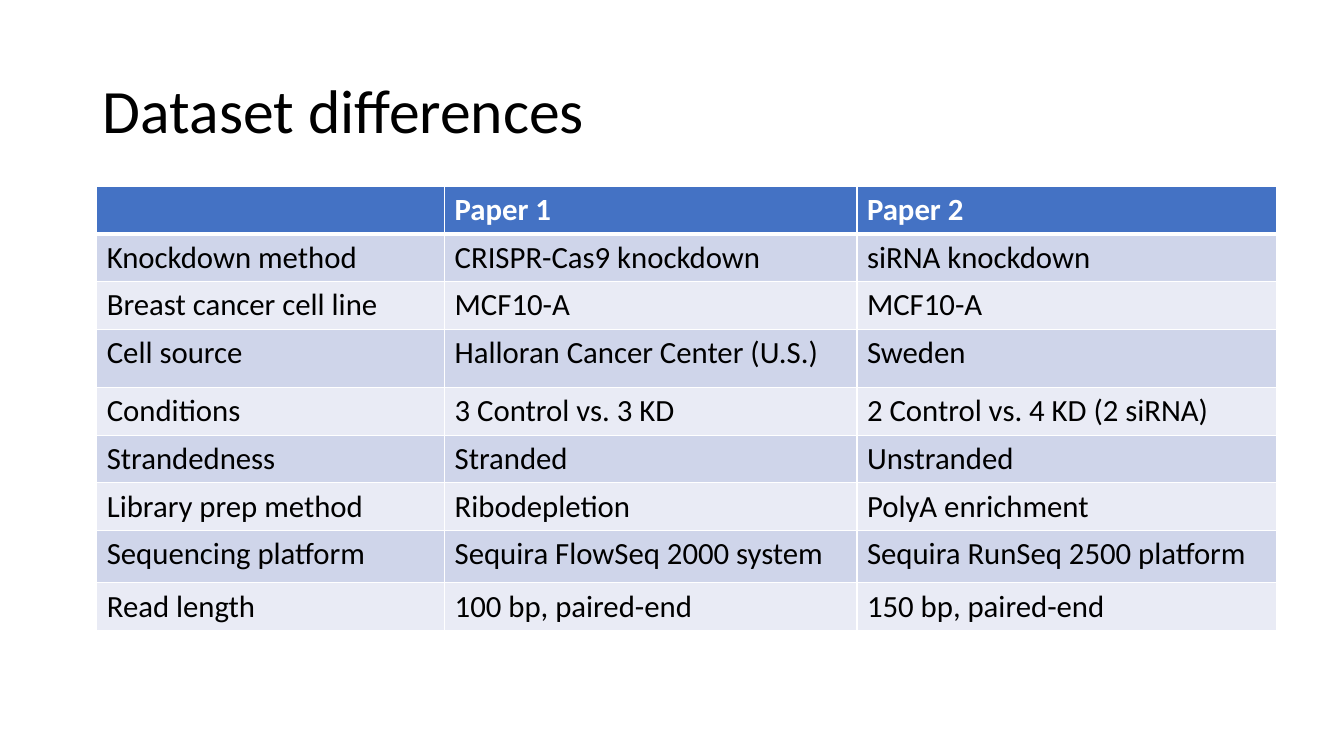
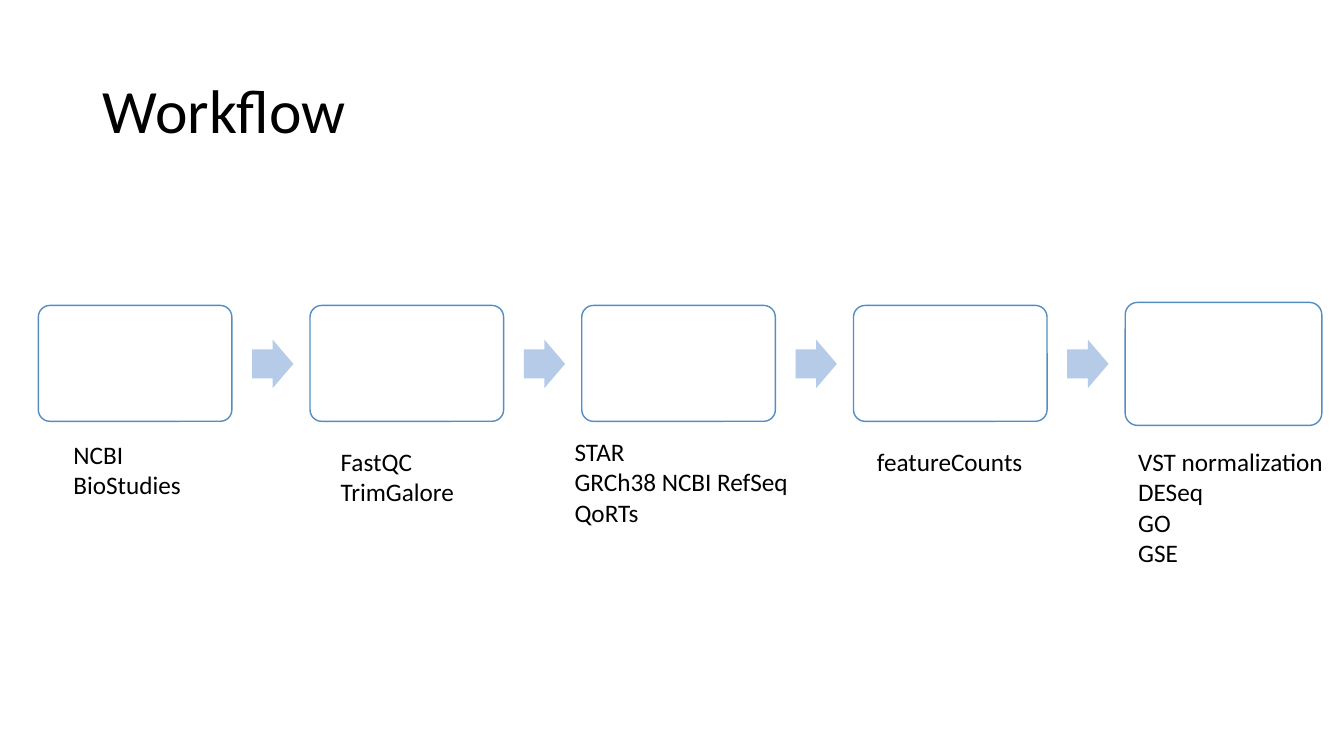
from pptx import Presentation
from pptx import util as u
from pptx.dml.color import RGBColor
from pptx.enum import shapes, text
from pptx.oxml import parse_xml
from pptx.oxml.ns import nsdecls

# Shared style
FONT = "Calibri"
BLACK = RGBColor(0x00, 0x00, 0x00)
WHITE = RGBColor(0xFF, 0xFF, 0xFF)
HEADER_BLUE = RGBColor(0x44, 0x72, 0xC4)
BANDS = (RGBColor(0xCF, 0xD5, 0xEA), RGBColor(0xE9, 0xEB, 0xF5))
BOX_LINE = RGBColor(0x53, 0x8D, 0xC1)
ARROW_BLUE = RGBColor(0xB5, 0xCB, 0xE7)

# Table content
COLUMN_WIDTHS = (3.45, 4.09, 4.16)
ROW_HEIGHT = 0.47
TALL_ROWS = {"Cell source": 0.58, "Sequencing platform": 0.52}
DATASETS = [
    ("", "Paper 1", "Paper 2"),
    ("Knockdown method", "CRISPR-Cas9 knockdown", "siRNA knockdown"),
    ("Breast cancer cell line", "MCF10-A", "MCF10-A"),
    ("Cell source", "Halloran Cancer Center (U.S.)", "Sweden"),
    ("Conditions", "3 Control vs. 3 KD", "2 Control vs. 4 KD (2 siRNA)"),
    ("Strandedness", "Stranded", "Unstranded"),
    ("Library prep method", "Ribodepletion", "PolyA enrichment"),
    ("Sequencing platform", "Sequira FlowSeq 2000 system", "Sequira RunSeq 2500 platform"),
    ("Read length", "100 bp, paired-end", "150 bp, paired-end"),
]

# Workflow content: label left, top, width and lines
STEPS = [
    (0.63, 4.31, 1.56, ["NCBI", "BioStudies"]),
    (3.28, 4.38, 1.56, ["FastQC", "TrimGalore"]),
    (5.6, 4.28, 2.49, ["STAR", "GRCh38 NCBI RefSeq", "QoRTs"]),
    (8.6, 4.38, 1.84, ["featureCounts"]),
    (11.19, 4.38, 2.15, ["VST normalization", "DESeq", "GO", "GSE"]),
]
FIRST_BOX, LAST_BOX = 0.38, 11.16


def write(frame, lines, size=18, color=BLACK, bold=False, spacing=None):
    frame.word_wrap = True
    for index, line in enumerate(lines):
        para = frame.paragraphs[0] if index == 0 else frame.add_paragraph()
        para.alignment = text.PP_ALIGN.LEFT
        para.line_spacing = spacing
        span = para.add_run()
        span.text = line
        span.font.name = FONT
        span.font.size = u.Pt(size)
        span.font.bold = bold
        span.font.color.rgb = color


def add_page(deck, title):
    page = deck.slides.add_slide(deck.slide_layouts.get_by_name("Title Only"))
    box = page.shapes.title
    box.left, box.top = u.Inches(0.92), u.Inches(0.4)
    box.width, box.height = u.Inches(11.5), u.Inches(1.45)
    box.text_frame.vertical_anchor = text.MSO_ANCHOR.MIDDLE
    box.text_frame.auto_size = text.MSO_AUTO_SIZE.NONE
    write(box.text_frame, [title], size=44, spacing=0.9)
    return page


def set_borders(cell, **widths):
    """Draw white borders; widths are points by side (L, R, T, B)."""
    properties = cell._tc.get_or_add_tcPr()
    for index, side in enumerate("LRTB"):
        properties.insert(index, parse_xml(
            f'<a:ln{side} {nsdecls("a")} w="{u.Pt(widths.get(side, 1))}">'
            f'<a:solidFill><a:srgbClr val="{WHITE}"/></a:solidFill></a:ln{side}>'))


def add_shape(page, kind, left, top, width, height, fill, line=None, adjust=()):
    shape = page.shapes.add_shape(kind, *map(u.Inches, (left, top, width, height)))
    shape.shadow.inherit = False
    for index, value in enumerate(adjust):
        shape.adjustments[index] = value
    shape.fill.solid()
    shape.fill.fore_color.rgb = fill
    if line is None:
        shape.line.fill.background()
    else:
        shape.line.color.rgb = line
        shape.line.width = u.Pt(1)


def build_datasets(deck):
    page = add_page(deck, "Dataset differences")
    heights = [TALL_ROWS.get(row[0], ROW_HEIGHT) for row in DATASETS]
    table = page.shapes.add_table(
        len(DATASETS), len(COLUMN_WIDTHS), u.Inches(0.96), u.Inches(1.85),
        u.Inches(sum(COLUMN_WIDTHS)), u.Inches(sum(heights))).table
    for column, width in zip(table.columns, COLUMN_WIDTHS):
        column.width = u.Inches(width)
    for r, values in enumerate(DATASETS):
        header = r == 0
        table.rows[r].height = u.Inches(heights[r])
        for c, value in enumerate(values):
            cell = table.cell(r, c)
            cell.fill.solid()
            cell.fill.fore_color.rgb = HEADER_BLUE if header else BANDS[(r - 1) % 2]
            set_borders(cell, B=3 if header else 1, T=3 if r == 1 else 1)
            if value:
                write(cell.text_frame, [value], size=22, bold=header,
                      color=WHITE if header else BLACK)


def build_workflow(deck):
    page = add_page(deck, "Workflow")
    last = len(STEPS) - 1
    pitch = (LAST_BOX - FIRST_BOX) / last
    for index, (left, top, width, lines) in enumerate(STEPS):
        # Step box, the last one slightly larger, and the arrow to the next
        box_left = FIRST_BOX + index * pitch
        box_top, box_width, box_height = (3, 1.95, 1.22) if index == last else (3.03, 1.92, 1.15)
        add_shape(page, shapes.MSO_SHAPE.ROUNDED_RECTANGLE, box_left, box_top,
                  box_width, box_height, WHITE, line=BOX_LINE, adjust=(0.1,))
        if index < last:
            add_shape(page, shapes.MSO_SHAPE.RIGHT_ARROW, box_left + 2.12, 3.37,
                      0.41, 0.48, ARROW_BLUE, adjust=(0.6, 0.5))
        # Tools used in the step
        label = page.shapes.add_textbox(
            *map(u.Inches, (left, top, width, 0.1 + 0.3 * len(lines))))
        write(label.text_frame, lines)


def main():
    deck = Presentation()
    deck.slide_width, deck.slide_height = u.Inches(13.33), u.Inches(7.5)
    build_datasets(deck)
    build_workflow(deck)
    deck.save("out.pptx")


if __name__ == "__main__":
    main()
